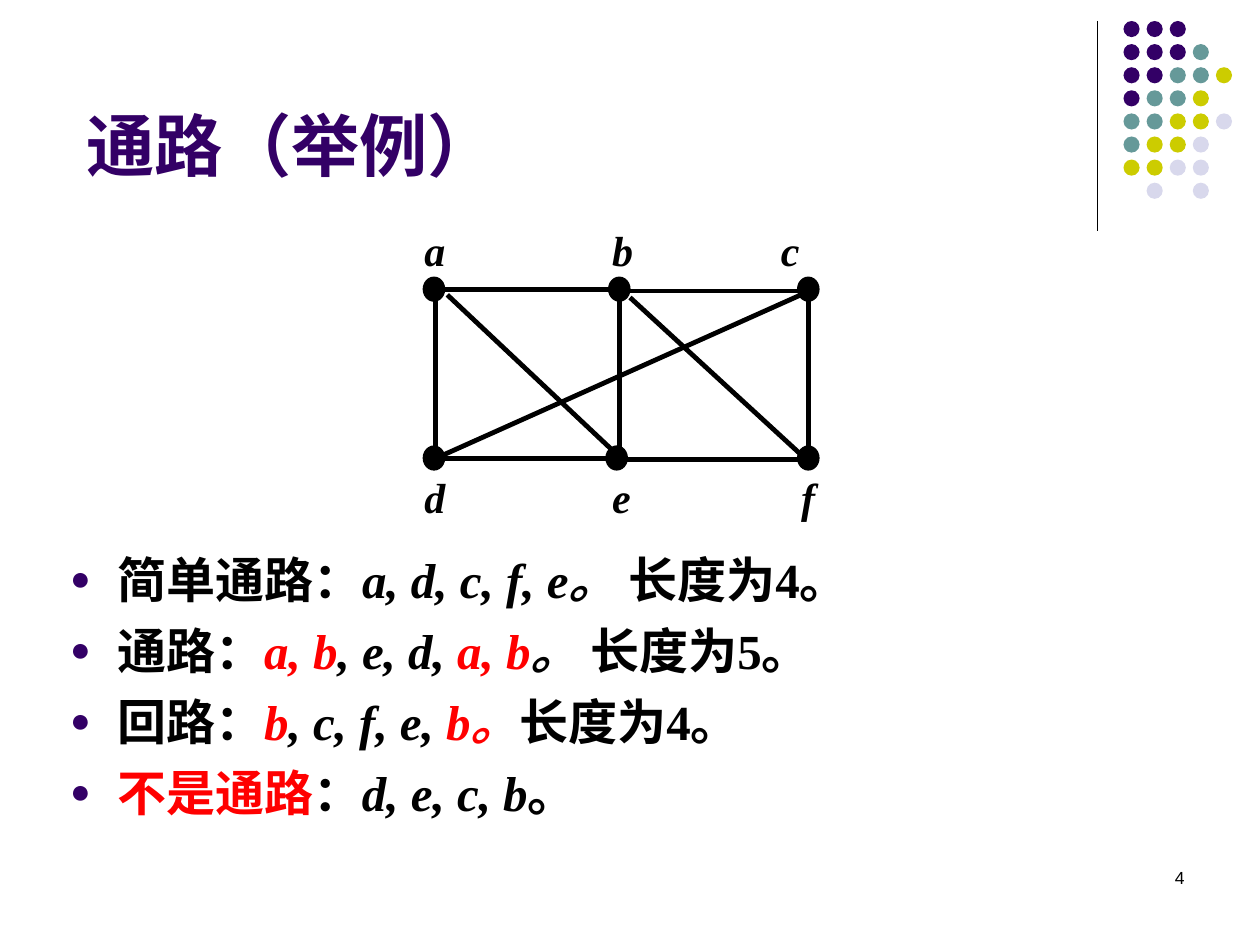
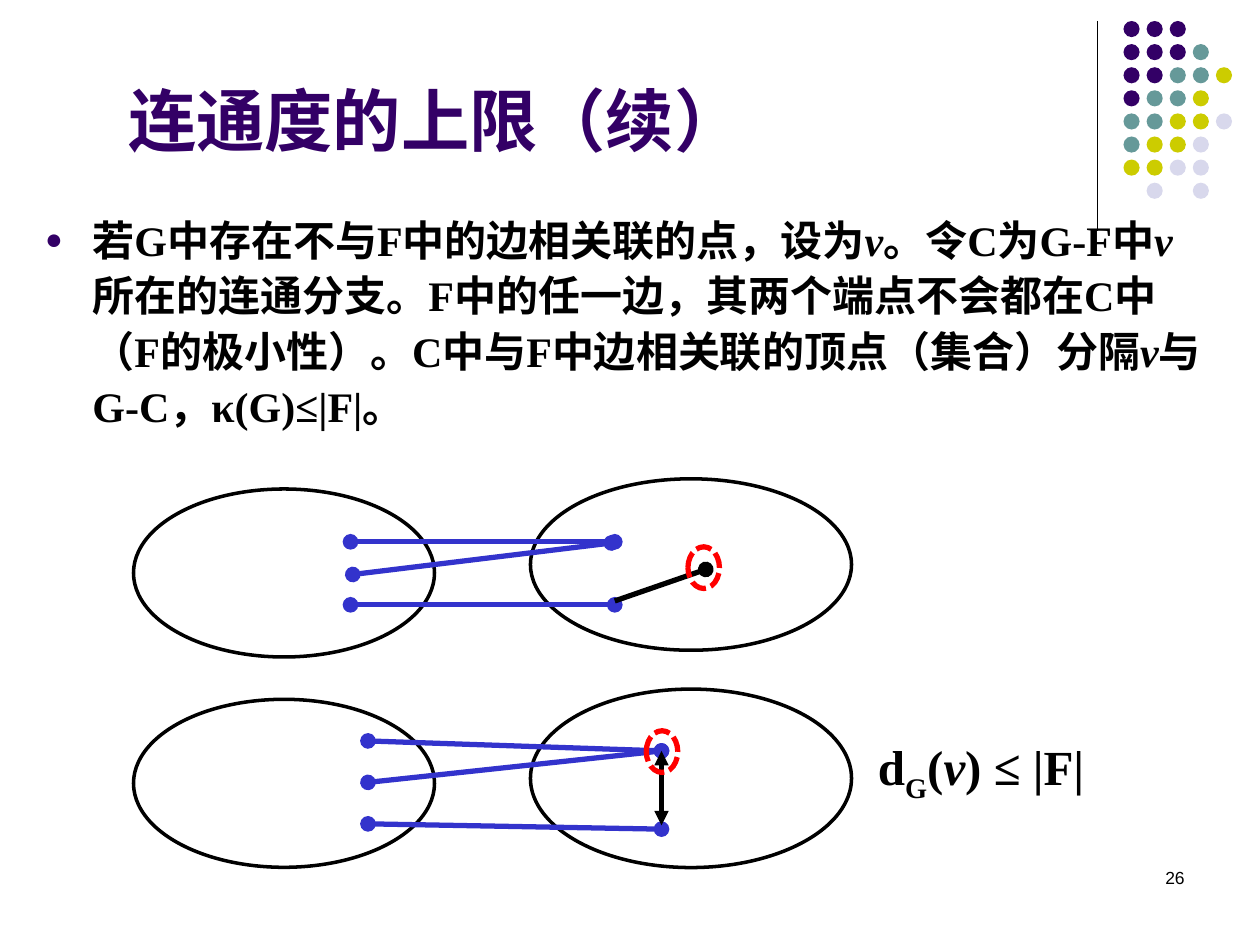
from pptx import Presentation
from pptx.util import Pt
from pptx.dml.color import RGBColor
from pptx.enum.dml import MSO_LINE
from pptx.enum.shapes import MSO_CONNECTOR, MSO_SHAPE
from pptx.enum.text import MSO_ANCHOR as ANCHOR, PP_ALIGN as ALIGN
from pptx.oxml.ns import qn
from lxml import etree

COLORS = {"purple": "330066", "teal": "669999", "olive": "CCCC00", "pale": "D8D8EC",
          "black": "000000", "red": "FF0000", "blue": "3333CC"}
SERIF, SANS = "Times New Roman", "Arial"
DOT_KEYS = {"P": "purple", "T": "teal", "Y": "olive", "L": "pale"}
DOT_ROWS = ["PPP", "PPPT", "PPTTY", "PTTY", "TTYYL", "TYYL", "YYLL", " L L"]


def rgb(name):
    return RGBColor.from_string(COLORS[name])


def add_ellipse(s, x, y, w, h, fill=None, line=None, width=0.75, dash=None):
    sp = s.shapes.add_shape(MSO_SHAPE.OVAL, Pt(x), Pt(y), Pt(w), Pt(h))
    sp.shadow.inherit = False
    if fill:
        sp.fill.solid()
        sp.fill.fore_color.rgb = rgb(fill)
    else:
        sp.fill.background()
    if line:
        sp.line.color.rgb = rgb(line)
        sp.line.width = Pt(width)
        if dash:
            sp.line.dash_style = dash
    else:
        sp.line.fill.background()


def add_line(s, x1, y1, x2, y2, color="black", width=2.75, head=None, tail=None):
    c = s.shapes.add_connector(MSO_CONNECTOR.STRAIGHT, Pt(x1), Pt(y1), Pt(x2), Pt(y2))
    c.line.color.rgb = rgb(color)
    c.line.width = Pt(width)
    ln = c.line._get_or_add_ln()
    for tag, kind in (("a:headEnd", head), ("a:tailEnd", tail)):
        if kind:
            etree.SubElement(ln, qn(tag), type=kind)
    etree.SubElement(c._element.spPr, qn("a:effectLst"))


def add_runs(p, runs, size, font=SERIF, color="black", bold=True):
    """Each run is (text, flags); flags: i italic, r red, s subscript."""
    for text, flags in runs:
        r = p.add_run()
        r.text = text
        style = {"name": font, "size": Pt(size), "bold": bold, "italic": "i" in flags}
        for key, value in style.items():
            setattr(r.font, key, value)
        r.font.color.rgb = rgb("red" if "r" in flags else color)
        if "s" in flags:
            r._r.get_or_add_rPr().set("baseline", "-25000")


def add_text(s, box, runs, size, anchor=ANCHOR.TOP, align=ALIGN.LEFT, **style):
    tf = s.shapes.add_textbox(*map(Pt, box)).text_frame
    tf.word_wrap = True
    tf.vertical_anchor = anchor
    p = tf.paragraphs[0]
    p.alignment = align
    add_runs(p, runs, size, **style)
    return tf


def add_bullets(s, box, items, size, space_before=0, line_spacing=1.0):
    tf = s.shapes.add_textbox(*map(Pt, box)).text_frame
    tf.word_wrap = True
    for i, runs in enumerate(items):
        p = tf.add_paragraph() if i else tf.paragraphs[0]
        p.line_spacing = line_spacing
        p.space_before = Pt(space_before if i else 0)
        pPr = p._p.get_or_add_pPr()
        pPr.set("marL", str(Pt(27)))
        pPr.set("indent", str(-Pt(27)))
        clr = etree.SubElement(pPr, qn("a:buClr"))
        etree.SubElement(clr, qn("a:srgbClr"), val=COLORS["purple"])
        etree.SubElement(pPr, qn("a:buSzPct"), val="70000")
        etree.SubElement(pPr, qn("a:buFont"), typeface=SANS)
        etree.SubElement(pPr, qn("a:buChar"), char="●")
        add_runs(p, runs, size)


def add_dot_grid(s, x, y, pitch=13.2, size=9.2):
    for row, keys in enumerate(DOT_ROWS):
        for col, key in enumerate(keys):
            if key in DOT_KEYS:
                add_ellipse(s, x + col * pitch, y + row * pitch, size, size, DOT_KEYS[key])


def new_slide(prs, title, title_box, number):
    s = prs.slides.add_slide(prs.slide_layouts[6])
    add_line(s, 627, 12, 627, 132, width=0.75)
    add_dot_grid(s, 642, 12)
    add_text(s, title_box, [(title, "")], 39, ANCHOR.BOTTOM, font=SANS, color="purple")
    add_text(s, (516, 492, 168, 36), [(str(number), "")], 10, align=ALIGN.RIGHT,
             font=SANS, bold=False)
    return s


def path_graph(s, x, y):
    edges = [(15, 41.6, 118, 41.6), (225, 43, 9.5, 139.5), (19.6, 44.5, 116, 135.2),
             (120.4, 42.3, 224, 42.3), (15, 138.1, 118, 138.1), (120.4, 138.8, 224, 138.8),
             (124, 46, 222.6, 136.6), (226.2, 34.4, 226.2, 136.6),
             (13.1, 40.2, 13.1, 141.7), (118.2, 40.2, 118.2, 141.7)]
    for x1, y1, x2, y2 in edges:
        add_line(s, x + x1, y + y1, x + x2, y + y2)
    # name: node left, node top, label left, label top
    nodes = {"a": (5.9, 34.4, -0.6, 0.6), "b": (111.8, 34.4, 106.7, 0.6),
             "c": (219.8, 34.4, 203.2, 0.6), "d": (5.9, 130.9, -0.6, 141.7),
             "e": (110.3, 130.9, 106.7, 141.7), "f": (219.8, 130.9, 214.7, 141.7)}
    for name, (nx, ny, lx, ly) in nodes.items():
        add_ellipse(s, x + nx, y + ny, 12.2, 13.7, "black", "black")
        add_text(s, (x + lx, y + ly, 28, 36), [(name, "i")], 24)


def cut_figure(s, x, y, components, cut_edges, inner_edge, ends, ring):
    """Two components, the cut edges between them and the ringed vertex v."""
    for cx, cy, w, h in components:
        add_ellipse(s, x + cx, y + cy, w, h, line="black", width=2)
    for x1, y1, x2, y2 in cut_edges:
        add_line(s, x + x1, y + y1, x + x2, y + y2, "blue", 3, "oval", "oval")
    x1, y1, x2, y2 = inner_edge
    add_line(s, x + x1, y + y1, x + x2, y + y2, **ends)
    add_ellipse(s, x + ring[0], y + ring[1], 18, 23.8, line="red", width=3,
                dash=MSO_LINE.SQUARE_DOT)


def path_slide(prs):
    s = new_slide(prs, "通路（举例）", (42.5, 37.5, 630, 72), 4)
    path_graph(s, 236, 124)
    items = [
        [("简单通路：", ""), ("a, d, c, f, e。 ", "i"), ("长度为4。", "")],
        [("通路：", ""), ("a, b", "ir"), (", e, d, ", "i"), ("a, b", "ir"), ("。 ", "i"),
         ("长度为5。", "")],
        [("回路：", ""), ("b", "ir"), (", c, f, e,", "i"), (" b。", "ir"), ("长度为4。", "")],
        [("不是通路", "r"), ("：", ""), ("d, e, c, b", "i"), ("。", "")],
    ]
    add_bullets(s, (33, 310.3, 648, 181.5), items, 28, space_before=7)


def connectivity_slide(prs):
    s = new_slide(prs, "连通度的上限（续）", (66.2, 41, 516, 54), 26)
    x, top, bottom = 76.3, 273.6, 393.8
    cut_figure(s, x, top,
               [(0, 5.8, 172, 96), (226.8, 0, 183.5, 98)],
               [(124, 36, 275, 36), (125.3, 54.7, 273, 36.7), (124, 72, 275, 72)],
               (275, 69.8, 327, 51.8), {"width": 3, "tail": "oval"}, (316.8, 38.9))
    cut_figure(s, x, bottom,
               [(0, 5.8, 172, 96), (226.8, 0, 183.5, 102)],
               [(134, 29.6, 301.7, 35.3), (134, 53.3, 301.7, 35.3), (134, 77, 301.7, 80)],
               (301.7, 35.3, 301.7, 77.8), {"head": "triangle", "tail": "triangle"},
               (293, 23.8))
    add_text(s, (x + 418.3, bottom + 23.8, 156, 45),
             [("d", ""), ("G", "s"), ("(", ""), ("v", "i"), (") ≤ |F|", "")], 28)
    proof = [("若G中存在不与F中的边相关联的点，设为", ""), ("v", "i"), ("。令C为G-F中", ""),
             ("v", "i"), ("所在的连通分支。F中的任一边，其两个端点不会都在C中（F的极小性）。"
                          "C中与F中边相关联的顶点（集合）分隔", ""),
             ("v", "i"), ("与G-C，κ(G)≤|F|。", "")]
    add_bullets(s, (18.7, 116, 680.4, 142.6), [proof], 24, line_spacing=1.1)


def main():
    prs = Presentation()
    prs.slide_width, prs.slide_height = Pt(720), Pt(540)
    path_slide(prs)
    connectivity_slide(prs)
    prs.save("out.pptx")


if __name__ == "__main__":
    main()
